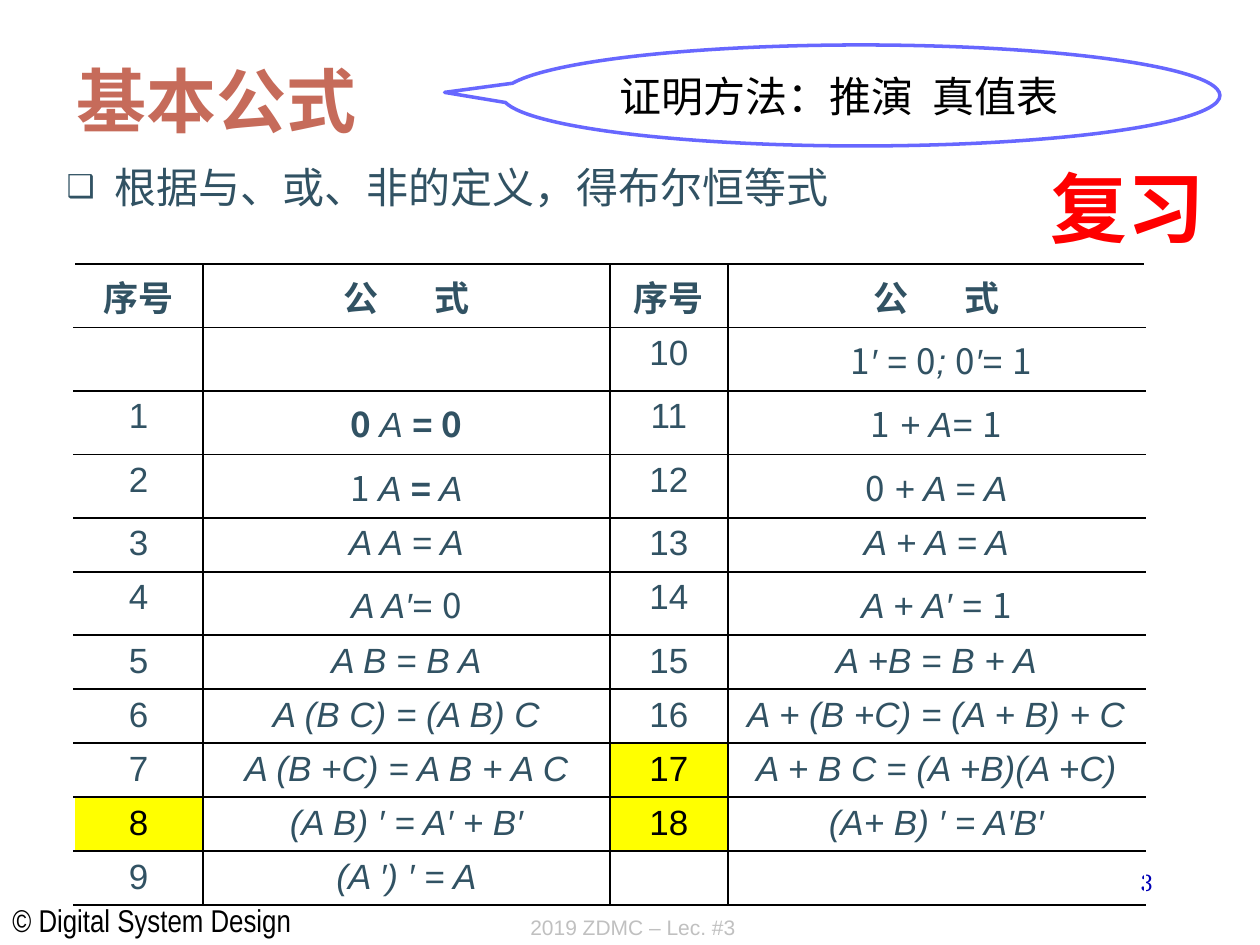
"""Build a slide of the basic Boolean identities."""
import itertools
import pptx
import pptx.util
import pptx.dml.color
import pptx.enum.shapes
import pptx.enum.text
import pptx.oxml
import pptx.oxml.ns

RGB = pptx.dml.color.RGBColor
ALIGN = pptx.enum.text.PP_ALIGN
ANCHOR = pptx.enum.text.MSO_ANCHOR

BLACK = RGB(0, 0, 0)
WHITE = RGB(255, 255, 255)
SLATE = RGB(0x31, 0x52, 0x63)
CLAY = RGB(0xC6, 0x6B, 0x5A)
NAVY = RGB(0, 0, 0xB6)
GRAY = RGB(0xC0, 0xC0, 0xC0)
RED = RGB(255, 0, 0)
VIOLET = RGB(0x67, 0x67, 0xFF)
YELLOW = RGB(255, 255, 0)

SANS, NARROW, SERIF, HAN = "Arial", "Arial Narrow", "Cambria", "Noto Sans CJK SC"

HEAD = ("序号", "公       式")
LEFT = ["", "0 A = 0", "1 A = A", "A A = A", "A A′= 0", "A B = B A",
        "A (B C) = (A B) C", "A (B +C) = A B + A C", "(A B) ′ = A′ + B′",
        "(A ′) ′ = A"]
RIGHT = [" 1′ = 0; 0′= 1", "1 + A= 1", "0 + A = A", "A + A = A",
         "A + A′ = 1", "A +B = B + A", "A + (B +C) = (A + B) + C",
         "A + B C = (A +B)(A +C)", "(A+ B) ′ = A′B′", ""]
HEAVY = {"0 A = 0": "0=", "1 A = A": "="}
MARKED = ("8", "17", "18")


def px(n):
    return pptx.util.Emu(n * 914400 // 126)


class Deck:
    def __init__(self):
        self.prs = pptx.Presentation()
        self.prs.slide_width, self.prs.slide_height = px(1260), px(945)
        self.slide = self.prs.slides.add_slide(self.prs.slide_layouts[1])

    def style(self, run, size, color, face=SANS, bold=False, slant=False):
        font = run.font
        font.name, font.size, font.bold, font.italic = face, pptx.util.Pt(size), bold, slant
        font.color.rgb = color

    def fit(self, frame, text, size, color, face=SANS, bold=False,
            align=ALIGN.LEFT, anchor=ANCHOR.TOP, wrap=True):
        frame.text = text
        frame.word_wrap = wrap
        frame.auto_size = pptx.enum.text.MSO_AUTO_SIZE.NONE
        frame.vertical_anchor = anchor
        line = frame.paragraphs[0]
        line.alignment = align
        self.style(line.runs[0], size, color, face, bold)

    def label(self, box, text, size, color, **look):
        shape = self.slide.shapes.add_textbox(*map(px, box))
        self.fit(shape.text_frame, text, size, color, **look)

    def holder(self, idx, box, text, size, color, **look):
        shape = self.slide.placeholders[idx]
        shape.left, shape.top, shape.width, shape.height = map(px, box)
        self.fit(shape.text_frame, text, size, color, **look)
        return shape

    def bullet(self, box, text):
        shape = self.holder(1, box, text, 24, SLATE)
        props = shape.text_frame.paragraphs[0]._p.get_or_add_pPr()
        props.set("marL", str(px(48)))
        props.set("indent", str(-px(48)))
        for body in (f'buClr {{}}><a:srgbClr val="{SLATE}"/></a:buClr>',
                     'buSzPct {} val="75000"/>',
                     'buFont {} typeface="Arial"/>',
                     'buChar {} char="❑"/>'):
            props.append(pptx.oxml.parse_xml("<a:" + body.format(pptx.oxml.ns.nsdecls("a"))))

    def callout(self, box, text):
        kind = pptx.enum.shapes.MSO_SHAPE.OVAL_CALLOUT
        shape = self.slide.shapes.add_shape(kind, *map(px, box))
        shape.adjustments[0], shape.adjustments[1] = -0.58, -0.03
        shape.shadow.inherit = False
        shape.fill.solid()
        shape.fill.fore_color.rgb = WHITE
        shape.line.color.rgb = VIOLET
        shape.line.width = pptx.util.Pt(2)
        self.fit(shape.text_frame, text, 24, BLACK, anchor=ANCHOR.MIDDLE)

    def rule(self, cell, sides):
        for side in sides:
            cell._tc.get_or_add_tcPr().append(pptx.oxml.parse_xml(
                f'<a:ln{side} {pptx.oxml.ns.nsdecls("a")} w="12700"><a:solidFill>'
                f'<a:srgbClr val="{BLACK}"/></a:solidFill></a:ln{side}>'))

    def formula(self, line, text):
        heavy = HEAVY.get(text, "")
        for (digit, bold), part in itertools.groupby(
                text, lambda c: (c.isdigit(), c in heavy)):
            run = line.add_run()
            run.text = "".join(part)
            self.style(run, 20, SLATE, HAN if digit else SANS, bold, not digit)

    def table(self, box, widths, rows):
        grid = self.slide.shapes.add_table(len(rows), len(widths), *map(px, box)).table
        grid.first_row = grid.horz_banding = False
        for col, width in zip(grid.columns, widths):
            col.width = px(width)
        last = len(widths) - 1
        for r, row in enumerate(rows):
            for c, text in enumerate(row):
                cell = grid.cell(r, c)
                self.rule(cell, ("L" if c else "") + ("R" if c < last else "") + "TB")
                marked = text in MARKED
                if marked:
                    cell.fill.solid()
                    cell.fill.fore_color.rgb = YELLOW
                else:
                    cell.fill.background()
                line = cell.text_frame.paragraphs[0]
                line.alignment = ALIGN.CENTER
                if r and c % 2:
                    self.formula(line, text)
                elif text:
                    line.text = text
                    self.style(line.runs[0], 20, BLACK if marked else SLATE, bold=r == 0)


def main():
    deck = Deck()
    deck.holder(0, (64, 26, 1134, 122), "基本公式", 40, CLAY, face=NARROW,
                bold=True, anchor=ANCHOR.BOTTOM)
    deck.bullet((54, 155, 1111, 129), "根据与、或、非的定义，得布尔恒等式")
    deck.label((0, 895, 305, 50), "© Digital System Design", 18, BLACK,
               face=NARROW, wrap=False)
    deck.label((903, 861, 262, 63), "3", 14, NAVY, face=SERIF, align=ALIGN.RIGHT)
    deck.label((326, 882, 614, 64), "2019 ZDMC – Lec. #3", 12, GRAY,
               align=ALIGN.CENTER, anchor=ANCHOR.BOTTOM)
    rows = [HEAD * 2]
    for n, (left, right) in enumerate(zip(LEFT, RIGHT)):
        rows.append((str(n) if left else "", left, str(n + 10) if right else "", right))
    deck.table((74, 264, 1071, 594), (129, 407, 118, 417), rows)
    deck.callout((502, 45, 718, 101), "证明方法：推演  真值表")
    deck.label((1038, 154, 181, 106), "复习", 44, RED, bold=True, wrap=False)
    deck.prs.save("out.pptx")


if __name__ == "__main__":
    main()
